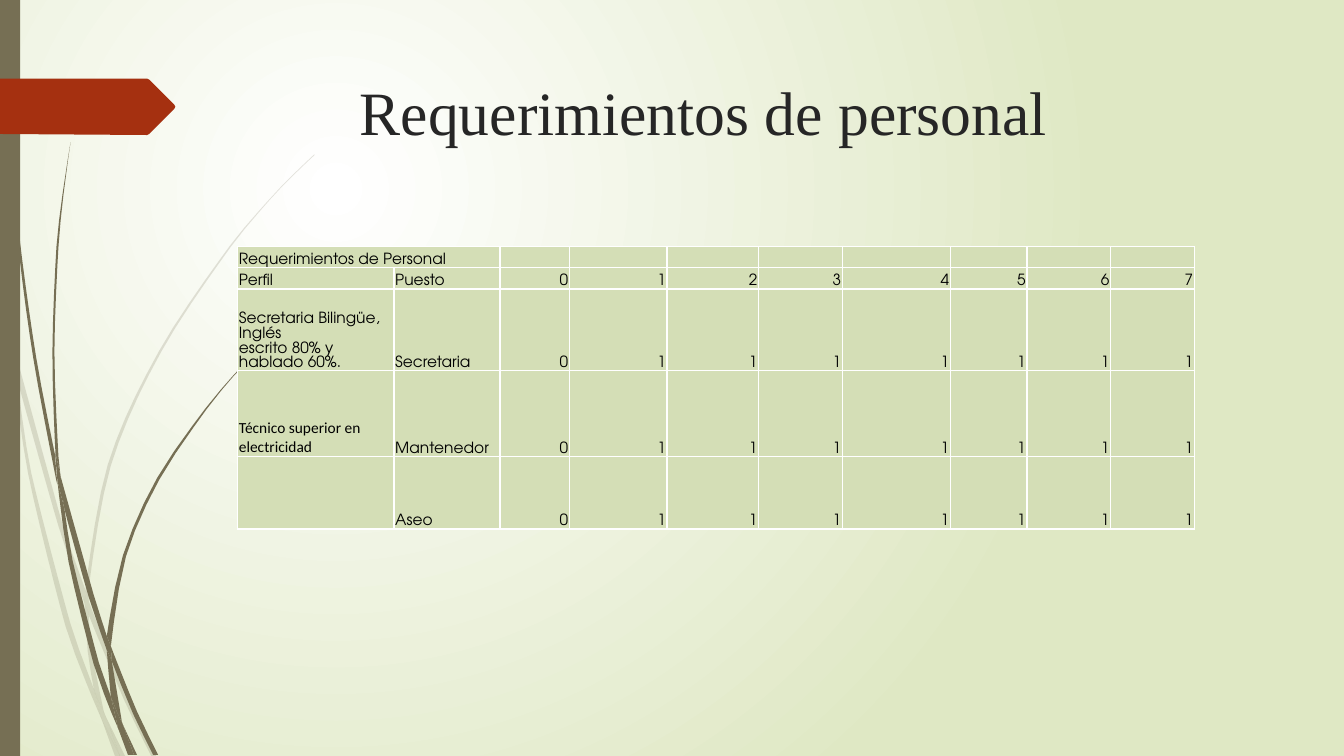
import math
from dataclasses import dataclass

import pptx
import pptx.dml.color
import pptx.enum.shapes
import pptx.enum.text
import pptx.oxml
import pptx.oxml.ns
import pptx.util
from lxml import etree

Cm = pptx.util.Cm
Pt = pptx.util.Pt
RGBColor = pptx.dml.color.RGBColor
qn = pptx.oxml.ns.qn
ALIGN = pptx.enum.text.PP_ALIGN
ANCHOR = pptx.enum.text.MSO_ANCHOR

WHITE = RGBColor(0xFF, 0xFF, 0xFF)
BLACK = RGBColor(0x00, 0x00, 0x00)
INK = RGBColor(0x26, 0x26, 0x26)
PALE_GREEN = RGBColor(0xDF, 0xE8, 0xC4)
CELL_GREEN = RGBColor(0xD4, 0xDE, 0xB6)
OLIVE = RGBColor(0x76, 0x6F, 0x54)
RUST = RGBColor(0xA5, 0x30, 0x10)

TABLE_FONT = "TeX Gyre Adventor"
GRID = Cm(0.0254)  # one step of the outline coordinates
PIECE = 30  # longest straight piece of a curve, in grid steps
Point = tuple[float, float]


@dataclass
class Outline:
    points: list[Point]
    color: RGBColor
    opacity: int = 100


PALE_STALKS = [
    [(11, 350), (9, 322), (0, 282), (0, 299), (10, 344)],
    [(58, 522), (84, 599), (85, 586), (62, 520), (14, 345), (17, 376)],
    [(92, 607), (88, 596), (88, 610), (123, 694), (150, 750), (155, 750), (127, 692)],
    [(119, 750), (124, 750), (105, 711)],
    [(93, 683), (70, 619), (31, 469), (17, 376), (11, 350), (28, 470), (65, 621), (92, 693),
     (101, 714), (99, 707)],
    [(84, 599), (87, 646), (93, 683), (96, 692), (105, 711), (103, 706), (91, 646), (88, 610),
     (88, 608)],
    [(88, 584), (110, 462), (160, 349), (229, 245), (268, 198), (290, 175), (312, 154),
     (312, 153), (289, 175), (268, 197), (228, 244), (158, 348), (107, 461), (85, 584),
     (85, 586), (88, 596)],
    [(101, 714), (114, 750), (119, 750)],
    [(88, 608), (88, 610), (88, 596), (85, 586), (84, 599)],
    [(96, 692), (93, 683), (99, 707), (101, 714), (119, 750), (105, 711)],
]
DARK_STALKS = [
    [(7, 110), (17, 233), (33, 355), (56, 477), (57, 481), (55, 457), (55, 453), (36, 355),
     (19, 232), (8, 109), (5, 48), (4, 0), (3, 0), (4, 48)],
    [(88, 592), (106, 645), (106, 633), (106, 631), (93, 590), (60, 472), (64, 505)],
    [(113, 649), (110, 641), (111, 656), (132, 708), (152, 749), (157, 749), (136, 706)],
    [(110, 691), (98, 657), (72, 556), (64, 505), (57, 477), (68, 557), (93, 659), (111, 708),
     (117, 722), (116, 717)],
    [(60, 472), (58, 453), (54, 349), (58, 245), (63, 193), (70, 141), (62, 193), (56, 245),
     (52, 349), (55, 449)],
    [(133, 749), (136, 749), (122, 719)],
    [(57, 477), (64, 505), (60, 472), (55, 449), (55, 453)],
    [(111, 633), (125, 552), (158, 476), (205, 406), (231, 374), (245, 359), (261, 344),
     (260, 344), (245, 358), (231, 373), (204, 405), (156, 474), (122, 551), (106, 631),
     (110, 641)],
    [(117, 722), (127, 749), (131, 749)],
    [(106, 645), (110, 691), (116, 706), (122, 719), (121, 716), (111, 656), (109, 651)],
    [(106, 645), (109, 651), (111, 656), (110, 641), (106, 631), (106, 633)],
    [(116, 706), (110, 691), (116, 717), (117, 722), (130, 749), (133, 749), (122, 719)],
]
TAG = [(0, 78), (146, 78), (148, 79), (173, 104), (174, 106), (173, 108), (148, 133),
       (146, 134), (0, 133)]

COLUMN_CM = [3.94, 2.67, 1.75, 2.46, 2.31, 2.11, 2.72, 1.93, 2.11, 2.11]
ROW_CM = [0.53, 0.53, 2.06, 2.16, 1.83]
STAFF_PER_YEAR = ["0"] + ["1"] * 7
ROWS = [
    ["Requerimientos de Personal"] + [""] * 9,
    ["Perfil", "Puesto"] + [str(year) for year in range(8)],
    ["Secretaria Bilingüe, Inglés\nescrito 80% y hablado 60%.", "Secretaria"] + STAFF_PER_YEAR,
    ["Técnico superior en electricidad", "Mantenedor"] + STAFF_PER_YEAR,
    ["", "Aseo"] + STAFF_PER_YEAR,
]


def handle(before: Point, at: Point, after: Point) -> Point:
    """Return the curve handle at a point, or zero where the outline has a corner."""
    len_in, len_out = math.dist(before, at), math.dist(at, after)
    cosine = ((at[0] - before[0]) * (after[0] - at[0])
              + (at[1] - before[1]) * (after[1] - at[1])) / (len_in * len_out)
    if cosine < 0.8:
        return 0, 0
    reach = min(len_in, len_out) / 3 / math.dist(before, after)
    return (after[0] - before[0]) * reach, (after[1] - before[1]) * reach


def smooth(points: list[Point]) -> list[Point]:
    """Sample a closed curve that runs through the points."""
    n = len(points)
    handles = [handle(points[i - 1], points[i], points[(i + 1) % n]) for i in range(n)]
    samples = []
    for i in range(n):
        j = (i + 1) % n
        steps = math.ceil(math.dist(points[i], points[j]) / PIECE)
        for step in range(steps):
            t = step / steps
            u = 1 - t
            samples.append(tuple(
                u**3 * a + 3 * u * u * t * (a + ha) + 3 * u * t * t * (b - hb) + t**3 * b
                for a, ha, b, hb in zip(points[i], handles[i], points[j], handles[j])))
    return samples


def fill_plain(sp, color: RGBColor, opacity: int = 100) -> None:
    sp.shadow.inherit = False
    sp.line.fill.background()
    sp.fill.solid()
    sp.fill.fore_color.rgb = color
    if opacity < 100:
        rgb = sp.fill._xPr.find(".//" + qn("a:srgbClr"))
        etree.SubElement(rgb, qn("a:alpha"), val=str(opacity * 1000))


def draw_outline(s, outline: Outline) -> None:
    start, *rest = [(round(x * GRID), round(y * GRID)) for x, y in smooth(outline.points)]
    builder = s.shapes.build_freeform(*start)
    builder.add_line_segments(rest, close=True)
    fill_plain(builder.convert_to_shape(), outline.color, outline.opacity)


def write(tf, text: str, *, font: str, size: float, color: RGBColor,
          align=ALIGN.LEFT, spacing=None) -> None:
    p = tf.paragraphs[0]
    p.alignment = align
    if spacing:
        p.line_spacing = spacing
    if not text:
        etree.SubElement(p._p, qn("a:endParaRPr"), sz=str(size * 100))
    for i, line in enumerate(text.split("\n") if text else []):
        if i:
            p.add_line_break()
        r = p.add_run()
        r.text = line
        r.font.name = font
        r.font.size = Pt(size)
        r.font.color.rgb = color


def border_cell(cell, sides: list[str]) -> None:
    tc_pr = cell._tc.get_or_add_tcPr()
    for i, side in enumerate(sides):
        ln = etree.Element(qn(f"a:ln{side}"), w=str(Pt(1)))
        fill = etree.SubElement(ln, qn("a:solidFill"))
        etree.SubElement(fill, qn("a:srgbClr"), val=str(WHITE))
        tc_pr.insert(i, ln)


def draw_table(s) -> None:
    table = s.shapes.add_table(len(ROWS), len(COLUMN_CM), Cm(5.99), Cm(6.22),
                               Cm(sum(COLUMN_CM)), Cm(sum(ROW_CM))).table
    table.first_row = table.horz_banding = False
    for column, width in zip(table.columns, COLUMN_CM):
        column.width = Cm(width)
    for i, (row, height, texts) in enumerate(zip(table.rows, ROW_CM, ROWS)):
        row.height = Cm(height)
        for j, (cell, text) in enumerate(zip(row.cells, texts)):
            cell.margin_left = cell.margin_right = cell.margin_top = Cm(0.03)
            cell.margin_bottom = 0
            cell.vertical_anchor = ANCHOR.BOTTOM
            cell.fill.solid()
            cell.fill.fore_color.rgb = CELL_GREEN
            border_cell(cell, ["L"] * (j == 0) + ["R"] + ["T"] * (i == 0) + ["B"])
            write(cell.text_frame, text, size=11, color=BLACK,
                  font="Calibri" if text.startswith("Técnico") else TABLE_FONT,
                  align=ALIGN.RIGHT if text.isdigit() else ALIGN.LEFT,
                  spacing=Pt(10.4) if "\n" in text else None)
    table.cell(0, 0).merge(table.cell(0, 1))


def paint_background(s) -> None:
    fill = s.background.fill
    fill.gradient()
    for stop, color in zip(fill.gradient_stops, (WHITE, PALE_GREEN)):
        stop.color.rgb = color
    linear = s.element.find(".//" + qn("a:lin"))
    circle = etree.Element(qn("a:path"), {"path": "circle"})
    etree.SubElement(circle, qn("a:fillToRect"), l="50000", t="50000", r="100000", b="100000")
    linear.getparent().replace(linear, circle)


def main() -> None:
    prs = pptx.Presentation()
    prs.slide_width, prs.slide_height = Cm(33.87), Cm(19.05)
    s = prs.slides.add_slide(prs.slide_layouts[6])
    paint_background(s)
    for points in PALE_STALKS:
        draw_outline(s, Outline(points, OLIVE, 20))
    for points in DARK_STALKS:
        draw_outline(s, Outline(points, OLIVE))
    side_bar = s.shapes.add_shape(pptx.enum.shapes.MSO_SHAPE.RECTANGLE,
                                  0, 0, Cm(0.51), prs.slide_height)
    fill_plain(side_bar, OLIVE)
    draw_outline(s, Outline(TAG, RUST))
    title = s.shapes.add_textbox(Cm(3.53), Cm(1.73), Cm(28.42), Cm(3.56)).text_frame
    title.word_wrap = True
    write(title, "Requerimientos de personal", font="Times New Roman", size=44,
          color=INK, align=ALIGN.CENTER)
    draw_table(s)
    prs.save("out.pptx")


if __name__ == "__main__":
    main()
